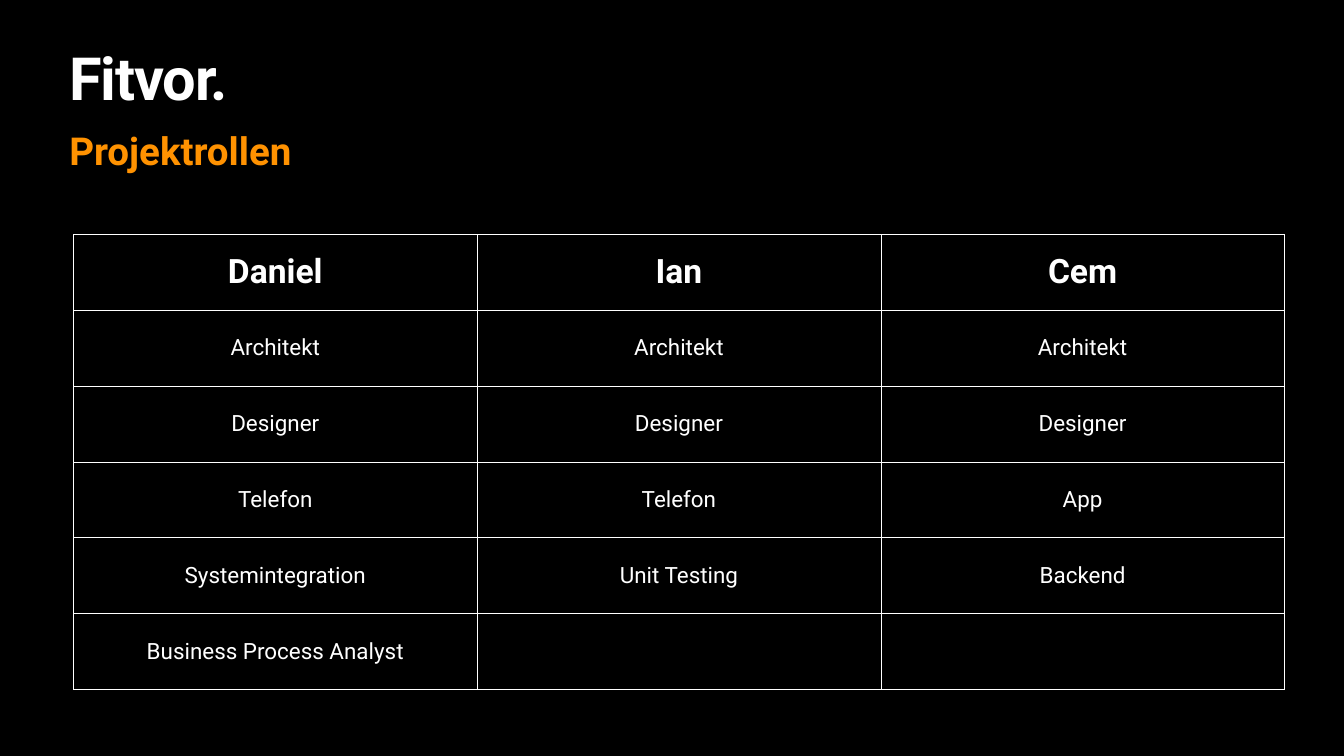
from dataclasses import dataclass

from lxml import etree
from pptx import Presentation
from pptx.dml.color import RGBColor
from pptx.enum import text
from pptx.oxml import ns
from pptx.util import Pt


@dataclass(frozen=True)
class Theme:
    font: str = "Roboto"
    background: str = "000000"
    ink: str = "FFFFFF"
    accent: str = "FF9201"
    title: int = 85
    subtitle: int = 55
    header: int = 48
    body: int = 32
    inset: float = 4
    rule: float = 1


ROLES = {
    "Daniel": ["Architekt", "Designer", "Telefon", "Systemintegration",
               "Business Process Analyst"],
    "Ian": ["Architekt", "Designer", "Telefon", "Unit Testing", ""],
    "Cem": ["Architekt", "Designer", "App", "Backend", ""],
}


class SlideBuilder:
    """Holds the theme and the current slide."""

    def __init__(self, slide, theme):
        self.slide, self.theme = slide, theme
        fill = slide.background.fill
        fill.solid()
        fill.fore_color.rgb = RGBColor.from_string(theme.background)

    def inset(self, target):
        for side in ("left", "top", "right", "bottom"):
            setattr(target, f"margin_{side}", Pt(self.theme.inset))

    def add_words(self, paragraph, words, size, color, bold):
        run = paragraph.add_run()
        run.text = words
        style = {"name": self.theme.font, "size": Pt(size), "bold": bold}
        for name, value in style.items():
            setattr(run.font, name, value)
        run.font.color.rgb = RGBColor.from_string(color)
        return run

    def heading(self, words, box, size, color, line_spacing=1.0, tracking=0):
        """Add a bold line; tracking is in points."""
        frame = self.slide.shapes.add_textbox(*map(Pt, box)).text_frame
        frame.word_wrap = True
        self.inset(frame)
        paragraph = frame.paragraphs[0]
        paragraph.line_spacing = line_spacing
        run = self.add_words(paragraph, words, size, color, True)
        if tracking:
            run.font._element.set("spc", str(round(tracking * 100)))

    def rule_cell(self, cell):
        """Draw all four borders, which must precede the cell's fill."""
        properties = cell._tc.get_or_add_tcPr()
        for index, side in enumerate(("lnL", "lnR", "lnT", "lnB")):
            line = etree.Element(ns.qn(f"a:{side}"), w=str(Pt(self.theme.rule)))
            fill = etree.SubElement(line, ns.qn("a:solidFill"))
            etree.SubElement(fill, ns.qn("a:srgbClr"), val=self.theme.ink)
            properties.insert(index, line)

    def table(self, columns, box):
        """Add a grid from a dict of header to column entries."""
        theme = self.theme
        rows = list(zip(*([name, *entries] for name, entries in columns.items())))
        grid = self.slide.shapes.add_table(
            len(rows), len(columns), *map(Pt, box)).table
        grid.horz_banding = False
        for r, row in enumerate(rows):
            for c, words in enumerate(row):
                cell = grid.cell(r, c)
                self.inset(cell)
                cell.vertical_anchor = text.MSO_ANCHOR.MIDDLE
                cell.fill.solid()
                cell.fill.fore_color.rgb = RGBColor.from_string(theme.background)
                self.rule_cell(cell)
                paragraph = cell.text_frame.paragraphs[0]
                paragraph.alignment = text.PP_ALIGN.CENTER
                if words:
                    size = theme.body if r else theme.header
                    self.add_words(paragraph, words, size, theme.ink, r == 0)


def main():
    theme = Theme()
    deck = Presentation()
    deck.slide_width, deck.slide_height = Pt(1920), Pt(1080)
    page = SlideBuilder(deck.slides.add_slide(deck.slide_layouts[6]), theme)
    page.heading("Fitvor.", (95, 75, 1730, 113), theme.title, theme.ink,
                 line_spacing=0.8, tracking=-1.7)
    page.heading("Projektrollen", (95, 177, 1730, 73), theme.subtitle, theme.accent)
    page.table(ROLES, (105, 335, 1730, 650))
    deck.save("out.pptx")


if __name__ == "__main__":
    main()
